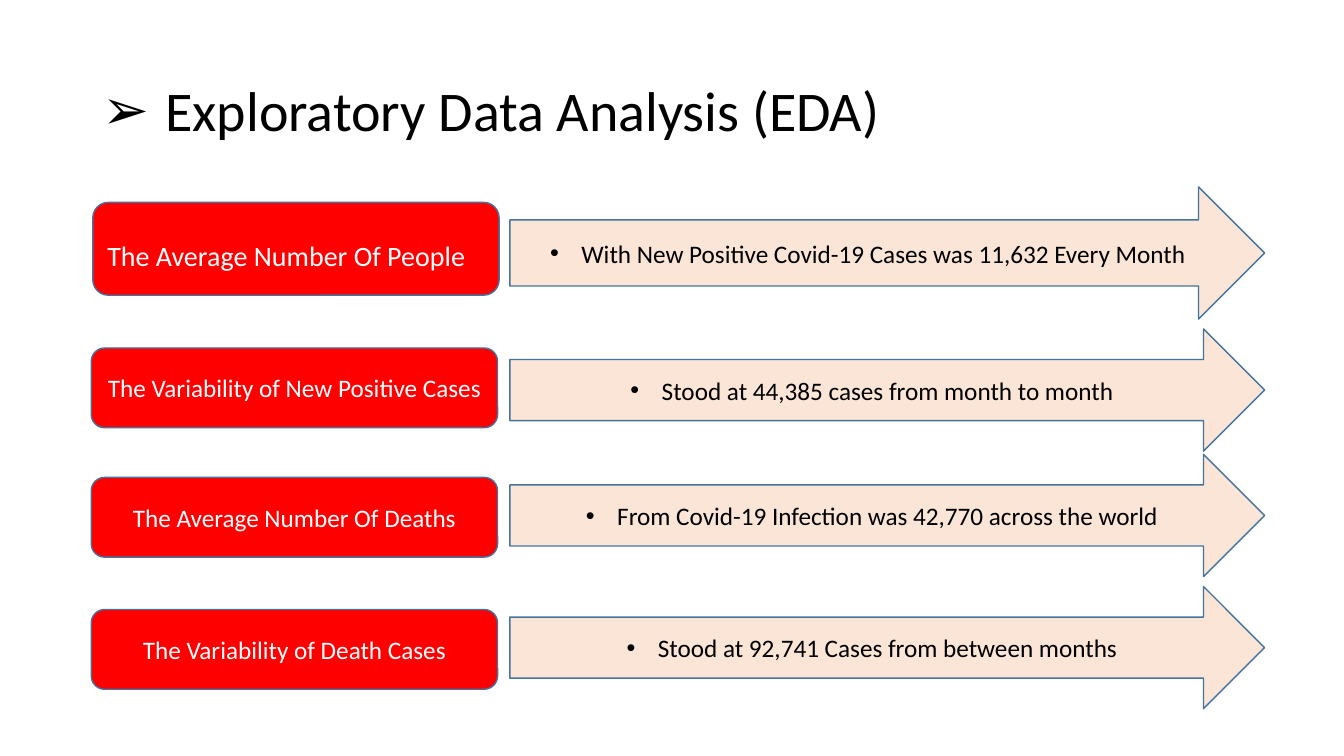
from lxml import etree
from pptx import Presentation
from pptx.dml.color import RGBColor
from pptx.enum.shapes import MSO_SHAPE
from pptx.enum.text import MSO_ANCHOR, PP_ALIGN
from pptx.oxml.ns import qn
from pptx.util import Cm, Pt

ROUND_RECT = MSO_SHAPE.ROUNDED_RECTANGLE
RIGHT_ARROW = MSO_SHAPE.RIGHT_ARROW
MIDDLE = MSO_ANCHOR.MIDDLE
LEFT, CENTER = PP_ALIGN.LEFT, PP_ALIGN.CENTER


def rgb(value):
    return RGBColor.from_string(value)


class SlideBuilder:
    FONT = "Calibri"
    BLACK, WHITE = "000000", "FFFFFF"
    RED, PEACH, OUTLINE = "FF0000", "FBE5D6", "43739E"

    def __init__(self, slide):
        self.s = slide

    def set_text(self, sp, text, size, color, align=LEFT):
        tf = sp.text_frame
        tf.word_wrap = True
        tf.vertical_anchor = MIDDLE
        p = tf.paragraphs[0]
        p.text = text
        p.alignment = align
        for r in p.runs:
            r.font.name = self.FONT
            r.font.size = Pt(size)
            r.font.color.rgb = rgb(color)
        return p

    def bullet(self, p, char, indent):
        pPr = p._p.get_or_add_pPr()
        pPr.set("marL", str(Cm(indent)))
        pPr.set("indent", str(-Cm(indent)))
        etree.SubElement(pPr, qn("a:buFont")).set("typeface", "Arial")
        etree.SubElement(pPr, qn("a:buChar")).set("char", char)

    def block(self, kind, left, top, width, height, fill):
        sp = self.s.shapes.add_shape(kind, Cm(left), Cm(top), Cm(width), Cm(height))
        sp.shadow.inherit = False
        sp.fill.solid()
        sp.fill.fore_color.rgb = rgb(fill)
        sp.line.color.rgb = rgb(self.OUTLINE)
        sp.line.width = Pt(1)
        return sp

    def title(self, text, left, top, width, height):
        sp = self.s.shapes.add_textbox(Cm(left), Cm(top), Cm(width), Cm(height))
        p = self.set_text(sp, text, 40, self.BLACK)
        p.line_spacing = 0.9
        self.bullet(p, "➢", 1.59)

    def label(self, text, left, top, height, size=18, align=CENTER):
        sp = self.block(ROUND_RECT, left, top, 10.24, height, self.RED)
        self.set_text(sp, text, size, self.WHITE, align)
        return sp

    def arrow(self, text, top, height):
        sp = self.block(RIGHT_ARROW, 12.85, top, 19.02, height, self.PEACH)
        self.bullet(self.set_text(sp, text, 18, self.BLACK, CENTER), "•", 0.79)


def main():
    prs = Presentation()
    prs.slide_width, prs.slide_height = Cm(33.87), Cm(19.05)
    b = SlideBuilder(prs.slides.add_slide(prs.slide_layouts[6]))

    # Title
    b.title("Exploratory Data Analysis (EDA)", 2.33, 1.01, 29.21, 3.68)

    # First finding, taller than the others and left-aligned
    sp = b.label("The Average Number Of People", 2.34, 5.1, 2.34, 20, LEFT)
    sp.text_frame.margin_top = Cm(0.45)
    b.arrow("With New Positive Covid-19 Cases was 11,632 Every Month ", 4.71, 3.33)

    # Remaining findings: label top, arrow top, label, finding
    findings = [
        (8.77, 8.29, "The Variability of New Positive Cases",
         "Stood at 44,385 cases from month to month"),
        (12.03, 11.45, "The Average Number Of Deaths",
         "From Covid-19 Infection was 42,770 across the world"),
        (15.36, 14.78, "The Variability of Death Cases",
         "Stood at 92,741 Cases from between months"),
    ]
    for label_top, arrow_top, label, finding in findings:
        b.label(label, 2.3, label_top, 2.01)
        b.arrow(finding, arrow_top, 3.08)

    prs.save("out.pptx")


if __name__ == "__main__":
    main()
